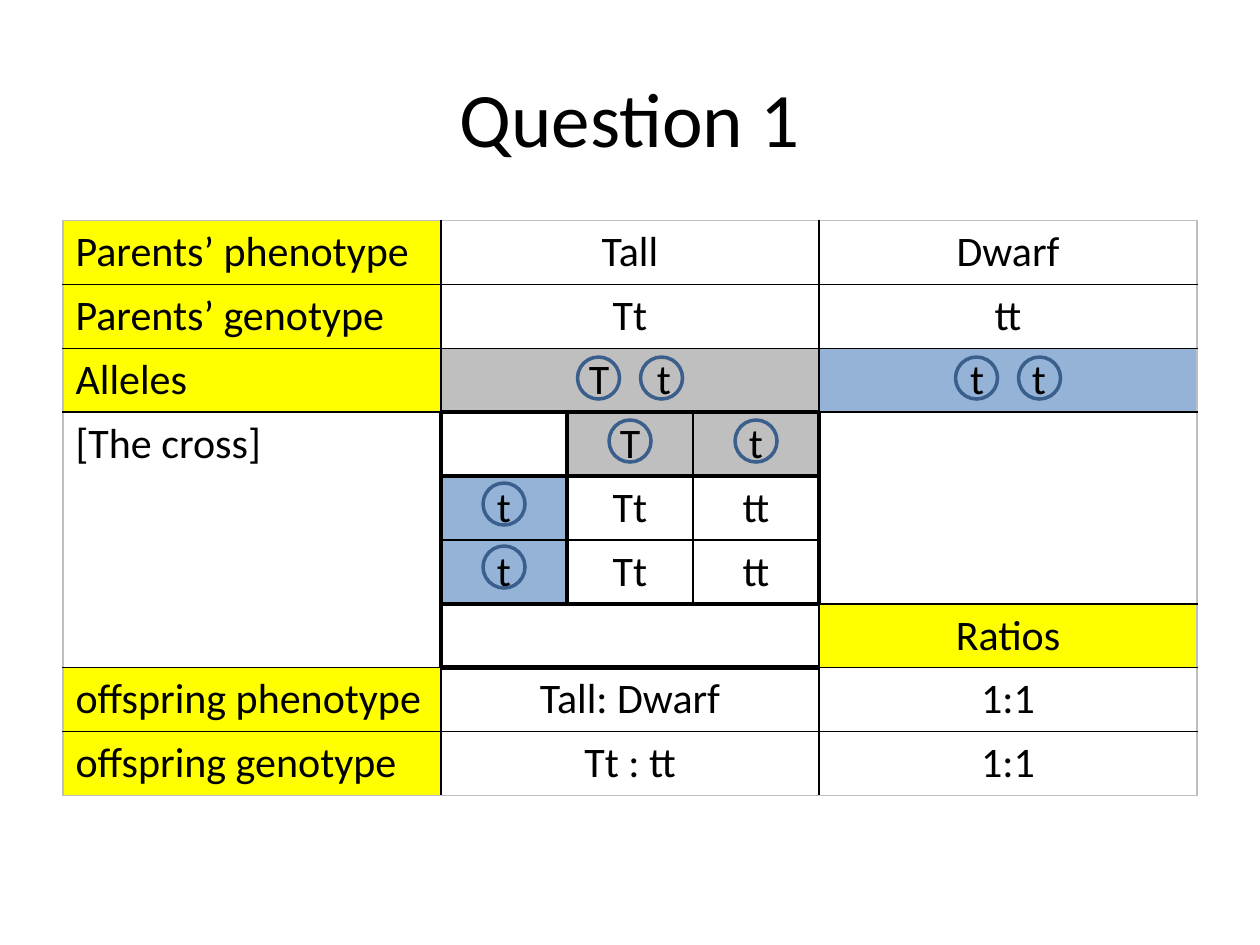
import pptx
import pptx.dml.color
import pptx.enum.shapes
import pptx.enum.text
import pptx.oxml
import pptx.oxml.ns
import pptx.util

Pt = pptx.util.Pt
ALIGN = pptx.enum.text.PP_ALIGN
FONT = "Calibri"
COLORS = {
    "text": "000000",
    "line": "000000",
    "frame": "BFBFBF",
    "label": "FFFF00",
    "tall": "BFBFBF",
    "dwarf": "95B3D7",
    "circle": "3A5F8C",
}

# Table geometry
LEFT, TOP, ROW_HEIGHT = 36, 126, 36
COLUMN_WIDTHS = [216, 72, 72, 72, 216]
ROW_COUNT = 9
CIRCLE_SIZE = 24

# First and last cell of each merged area, as (row, column)
MERGES = [((row, 1), (row, 3)) for row in (0, 1, 2, 6, 7, 8)]
MERGES += [((3, 0), (6, 0)), ((3, 4), (5, 4))]

# (row, column): (text pieces, fill)
CONTENT = {
    (0, 0): (["Parents’ phenotype"], "label"),
    (0, 1): (["Tall"], None),
    (0, 4): (["Dwarf"], None),
    (1, 0): (["Parents’ genotype"], "label"),
    (1, 1): (["Tt"], None),
    (1, 4): (["tt"], None),
    (2, 0): (["Alleles"], "label"),
    (2, 1): (["T", "t"], "tall"),
    (2, 4): (["t", "t"], "dwarf"),
    (3, 0): (["[The cross]"], None),
    (3, 2): (["T"], "tall"),
    (3, 3): (["t"], "tall"),
    (4, 1): (["t"], "dwarf"),
    (4, 2): (["Tt"], None),
    (4, 3): (["tt"], None),
    (5, 1): (["t"], "dwarf"),
    (5, 2): (["Tt"], None),
    (5, 3): (["tt"], None),
    (6, 4): (["Ratios"], "label"),
    (7, 0): (["offspring phenotype"], "label"),
    (7, 1): (["Tall: Dwarf"], None),
    (7, 4): (["1:1"], None),
    (8, 0): (["offspring genotype"], "label"),
    (8, 1): (["Tt : tt"], None),
    (8, 4): (["1:1"], None),
}


def rgb(name):
    return pptx.dml.color.RGBColor.from_string(COLORS[name])


def add_span(para, text, size):
    span = para.add_run()
    span.text = text
    span.font.name = FONT
    span.font.size = Pt(size)
    span.font.bold = False
    span.font.color.rgb = rgb("text")
    return span


def add_title(page, text):
    title = page.shapes.title
    title.left, title.top = Pt(36), Pt(21.6)
    title.width, title.height = Pt(648), Pt(90)
    frame = title.text_frame
    frame.vertical_anchor = pptx.enum.text.MSO_ANCHOR.MIDDLE
    para = frame.paragraphs[0]
    para.alignment = ALIGN.CENTER
    add_span(para, text, 44)


def vertical_edge(line, row):
    """Weight and colour of the border on a column line."""
    if line in (0, len(COLUMN_WIDTHS)):
        return 1, "frame"
    last_heavy_row = {1: 6, 2: 5, 4: 5}.get(line, 0)
    return (3 if 3 <= row <= last_heavy_row else 1), "line"


def horizontal_edge(line, column):
    """Weight and colour of the border on a row line."""
    if line in (0, ROW_COUNT):
        return 1, "frame"
    return (3 if line in (3, 4, 6, 7) and 1 <= column <= 3 else 1), "line"


def set_borders(cell, row, column):
    width = cell.span_width if cell.is_merge_origin else 1
    height = cell.span_height if cell.is_merge_origin else 1
    edges = {
        "lnL": vertical_edge(column, row),
        "lnR": vertical_edge(column + width, row),
        "lnT": horizontal_edge(row, column),
        "lnB": horizontal_edge(row + height, column),
    }
    properties = cell._tc.get_or_add_tcPr()
    for tag, (weight, color) in edges.items():
        properties.append(pptx.oxml.parse_xml(
            f'<a:{tag} {pptx.oxml.ns.nsdecls("a")} w="{Pt(weight)}">'
            f'<a:solidFill><a:srgbClr val="{COLORS[color]}"/></a:solidFill>'
            f'</a:{tag}>'))


def fill_cell(cell, pieces, fill, column):
    if fill:
        cell.fill.solid()
        cell.fill.fore_color.rgb = rgb(fill)
    else:
        cell.fill.background()
    para = cell.text_frame.paragraphs[0]
    para.alignment = ALIGN.LEFT if column == 0 else ALIGN.CENTER
    for index, piece in enumerate(pieces):
        if index:
            # One widened space separates the two alleles
            gap = add_span(para, " ", 24)
            gap.font._element.set("spc", "2170")
        add_span(para, piece, 24)


def add_cross_table(page):
    frame = page.shapes.add_table(
        ROW_COUNT, len(COLUMN_WIDTHS), Pt(LEFT), Pt(TOP),
        Pt(sum(COLUMN_WIDTHS)), Pt(ROW_COUNT * ROW_HEIGHT))
    table = frame.table
    table.first_row = False
    table.horz_banding = False
    for column, width in zip(table.columns, COLUMN_WIDTHS):
        column.width = Pt(width)
    for row in table.rows:
        row.height = Pt(ROW_HEIGHT)
    for first, last in MERGES:
        table.cell(*first).merge(table.cell(*last))
    for row in range(ROW_COUNT):
        for column in range(len(COLUMN_WIDTHS)):
            cell = table.cell(row, column)
            if not cell.is_spanned:
                set_borders(cell, row, column)
            pieces, fill = CONTENT.get((row, column), ([], None))
            fill_cell(cell, pieces, fill, column)


def add_circle(page, center, row):
    """Ring one allele in the given table row."""
    circle = page.shapes.add_shape(
        pptx.enum.shapes.MSO_SHAPE.OVAL, Pt(center - CIRCLE_SIZE / 2),
        Pt(TOP + row * ROW_HEIGHT + 6), Pt(CIRCLE_SIZE), Pt(CIRCLE_SIZE))
    circle.shadow.inherit = False
    circle.fill.background()
    circle.line.color.rgb = rgb("circle")
    circle.line.width = Pt(2)


def main():
    deck = pptx.Presentation()
    deck.slide_width, deck.slide_height = Pt(720), Pt(540)
    page = deck.slides.add_slide(deck.slide_layouts[5])
    add_title(page, "Question 1")
    add_cross_table(page)

    # Allele pairs of both parents
    for middle in (360, 576):
        for offset in (-18, 18):
            add_circle(page, middle + offset, 2)
    # Headings of the cross
    for center, row in ((360, 3), (432, 3), (288, 4), (288, 5)):
        add_circle(page, center, row)

    deck.save("out.pptx")


if __name__ == "__main__":
    main()
